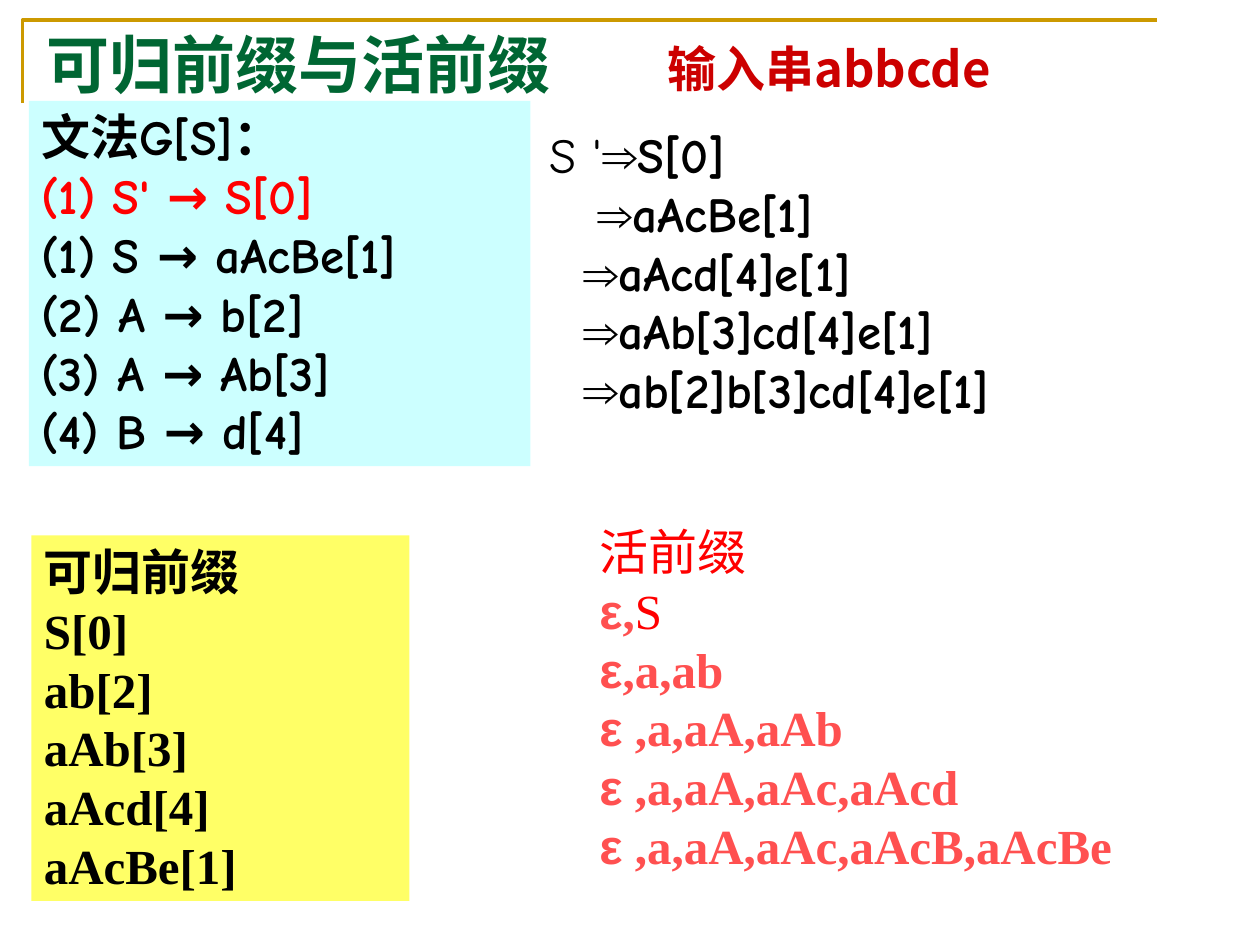
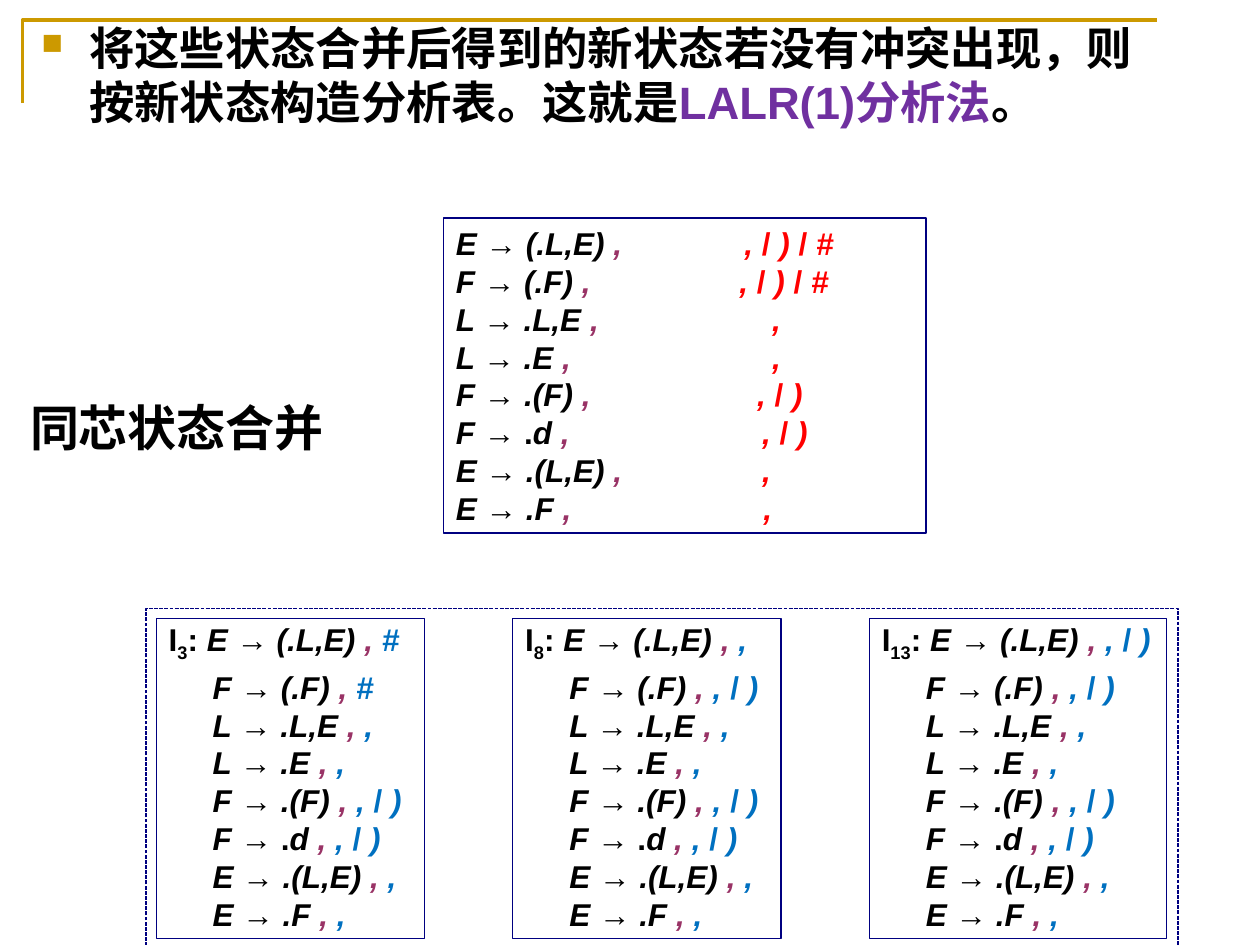
from lxml import etree
from pptx import Presentation
from pptx.dml.color import RGBColor
from pptx.enum.dml import MSO_LINE
from pptx.enum.shapes import MSO_SHAPE as Shape
from pptx.enum.text import MSO_ANCHOR as Anchor
from pptx.oxml.ns import qn
from pptx.util import Inches, Pt

# Shared look
COLORS = dict(gold="CC9900", green="006633", black="000000", red="FF0000",
              crimson="CC0000", coral="FF5050", cyan="CCFFFF", yellow="FFFF66",
              navy="000080", plum="993366", blue="0070C0", purple="7030A0")
WIDTH, HEIGHT = 10, 7.5
SERIF, SANS, COMIC, CJK = "Times New Roman", "Arial", "Comic Neue", "Noto Sans CJK SC"
LINE_RATIO = 1.2
PLAIN = dict(bold=False)

# Slide 1: a row is a text or a list of (text, format) spans
TITLE = "可归前缀与活前缀"
INPUT_STRING = "输入串abbcde"
GRAMMAR = ["文法G[S]：", [("(1) S' → S[0]", dict(color="red"))],
           "(1) S → aAcBe[1]", "(2) A → b[2]", "(3) A → Ab[3]", "(4) B → d[4]"]
DERIVATION = [("S '", 0, "S[0]"), ("", 0.38, "aAcBe[1]"), ("", 0.27, "aAcd[4]e[1]"),
              ("", 0.27, "aAb[3]cd[4]e[1]"), ("", 0.27, "ab[2]b[3]cd[4]e[1]")]
REDUCIBLE = ["可归前缀", "S[0]", "ab[2]", "aAb[3]", "aAcd[4]", "aAcBe[1]"]
VIABLE_HEAD = "活前缀"
VIABLE = [",a,ab", " ,a,aA,aAb", " ,a,aA,aAc,aAcd", " ,a,aA,aAc,aAcB,aAcBe"]

# Slide 2: shared core items, then the lookaheads of each state
BULLET = [("将这些状态合并后得到的新状态若没有冲突出现，则按新状态构造分析表。这就是", {}),
          ("LALR(1)分析法", dict(color="purple")), ("。", {})]
MERGE_LABEL = "同芯状态合并"
CORE = [("E ", "→", " (.L,E) "), ("F ", "→", " (.F) "), ("L ", "→ ", ".L,E "),
        ("L ", "→ ", ".E "), ("F ", "→", " .(F) "), ("F ", "→ .", "d "),
        ("E ", "→ ", ".(L,E) "), ("E ", "→", " .F ")]
TAIL = [",", ",", ", / )", ", / )", ",", ","]
STATES = [("3", 2.13, ["#", "#"] + TAIL),
          ("8", 2.13, [",", ", / )"] + TAIL),
          ("13", 2.36, [", / )", ", / )"] + TAIL)]
MERGED = [", / ) / #", ", / ) / #"] + TAIL
MERGED_TABS = [2.29, 2.25, 2.51, 2.51, 2.39, 2.43, 2.43, 2.44]
STATE_LEFT, STATE_TOP, STATE_STEP, STATE_HEIGHT = 1.24, 4.91, 2.83, 2.54


def rgb(name):
    return RGBColor.from_string(COLORS[name])


def add_span(para, text, size, font=SANS, color="black", bold=True, italic=False, base=None):
    span = para.add_run()
    span.text = text
    style = span.font
    style.size, style.name, style.bold, style.italic = Pt(size), font, bold, italic
    style.color.rgb = rgb(color)
    props = span._r.get_or_add_rPr()
    etree.SubElement(props, qn("a:ea"), typeface=CJK)
    if base:
        props.set("baseline", str(base * 1000))


def write_rows(frame, rows, indents=(), tabs=(), size=28, **fmt):
    """Fill a text frame; a row is a text or a list of (text, format) spans."""
    for index, row in enumerate(rows):
        para = frame.paragraphs[0] if index == 0 else frame.add_paragraph()
        para.line_spacing = Pt(round(size * LINE_RATIO, 1))
        props = para._p.get_or_add_pPr()
        if indents:
            props.set("marL", str(Inches(indents[index])))
            props.set("indent", "0")
        if tabs:
            stops = etree.SubElement(props, qn("a:tabLst"))
            etree.SubElement(stops, qn("a:tab"), pos=str(Inches(tabs[index])), algn="l")
        for text, extra in [(row, {})] if isinstance(row, str) else row:
            add_span(para, text, **{"size": size, **fmt, **extra})


def add_text(page, at, rows, wrap=True, **fmt):
    box = page.shapes.add_textbox(*map(Inches, at))
    box.text_frame.word_wrap = wrap
    write_rows(box.text_frame, rows, **fmt)
    return box


def add_panel(page, at, rows=(), fill=None, line=None, dash=None, **fmt):
    panel = page.shapes.add_shape(Shape.RECTANGLE, *map(Inches, at))
    panel.shadow.inherit = False
    if fill:
        panel.fill.solid()
        panel.fill.fore_color.rgb = rgb(fill)
    else:
        panel.fill.background()
    if line:
        panel.line.color.rgb = rgb(line)
        panel.line.width = Pt(0.75)
        panel.line.dash_style = dash
    else:
        panel.line.fill.background()
    frame = panel.text_frame
    frame.word_wrap, frame.vertical_anchor = True, Anchor.TOP
    write_rows(frame, rows, **fmt)
    for para in frame.paragraphs:
        para._p.get_or_add_pPr().set("algn", "l")
    return panel


def add_page(deck, layout):
    """New slide with the gold corner rule."""
    page = deck.slides.add_slide(deck.slide_layouts[layout])
    pen = page.shapes.build_freeform(Inches(0.18), Inches(0.82))
    pen.add_line_segments([(Inches(0.18), Inches(0.16)), (Inches(9.18), Inches(0.16))],
                          close=False)
    corner = pen.convert_to_shape()
    corner.shadow.inherit = False
    corner.fill.background()
    corner.line.color.rgb = rgb("gold")
    corner.line.width = Pt(2)
    return page


def item_spans(item, lookahead, color, gap=" "):
    """Spans of one LR(1) item; arrows and slashes stay upright."""
    left, arrow, right = item
    slanted = dict(italic=True)
    spans = [(left, slanted), (arrow, {}), (right, slanted),
             ("," + gap, dict(color="plum", italic=True))]
    marks = lookahead.split(" ")
    for index, mark in enumerate(marks):
        text = mark if index == len(marks) - 1 else mark + " "
        spans.append((text, dict(color=color, italic=mark != "/")))
    return spans


def build_prefixes(deck):
    page = add_page(deck, 5)
    title = page.shapes.title
    title.left, title.top, title.width, title.height = map(Inches, (0.27, 0.21, 8.67, 0.64))
    title.text_frame.vertical_anchor = Anchor.BOTTOM
    write_rows(title.text_frame, [TITLE], size=36, font=SERIF, color="green")
    title.text_frame.paragraphs[0]._p.get_or_add_pPr().set("algn", "l")

    add_panel(page, (0.23, 0.8, 3.98, 2.9), GRAMMAR, fill="cyan", font=COMIC)
    steps = [([(start, PLAIN)] if start else []) + [("⇒", dict(font=SANS)), (form, {})]
             for start, _, form in DERIVATION]
    add_text(page, (4.26, 0.94, 5.58, 2.44), steps, font=COMIC,
             indents=[indent for _, indent, _ in DERIVATION])

    add_panel(page, (0.25, 4.25, 3, 2.9), REDUCIBLE, fill="yellow", font=SERIF)
    epsilon = ("ε", dict(font=SANS))
    light_red = dict(color="red", bold=False)
    prefixes = [[(VIABLE_HEAD, light_red)], [epsilon, (",", {}), ("S", light_red)]]
    prefixes += [[epsilon, (rest, {})] for rest in VIABLE]
    add_text(page, (4.56, 4.09, 4.56, 2.9), prefixes, font=SERIF, color="coral",
             indents=[0.1] * len(prefixes))
    add_text(page, (5.2, 0.26, 4, 0.57), [INPUT_STRING], font=CJK, color="crimson")


def build_merging(deck):
    page = add_page(deck, 6)
    # Bulleted statement
    statement = add_text(page, (0.23, 0.11, 9.02, 1), [BULLET], size=25.9)
    props = statement.text_frame.paragraphs[0]._p.get_or_add_pPr()
    props.set("marL", str(Inches(0.38)))
    props.set("indent", str(-Inches(0.38)))
    tint = etree.SubElement(props, qn("a:buClr"))
    etree.SubElement(tint, qn("a:srgbClr"), val=COLORS["gold"])
    etree.SubElement(props, qn("a:buSzPct"), val="65000")
    etree.SubElement(props, qn("a:buChar"), char="■")

    # States with the same core
    for column, (number, width, lookaheads) in enumerate(STATES):
        rows = [item_spans(item, ahead, "blue") for item, ahead in zip(CORE, lookaheads)]
        rows[0] = [("I", {}), (number, dict(base=-25)), (": ", {})] + rows[0]
        at = (STATE_LEFT + column * STATE_STEP, STATE_TOP, width, STATE_HEIGHT)
        state = add_panel(page, at, rows, line="navy", size=18,
                          indents=[0] + [0.35] * (len(rows) - 1))
        state.text_frame.paragraphs[0].space_after = Pt(3)
    add_panel(page, (1.16, 4.83, 8.19, 2.68), line="navy", dash=MSO_LINE.SQUARE_DOT)

    # Merged state
    rows = [item_spans(item, ahead, "red", gap="\t") for item, ahead in zip(CORE, MERGED)]
    add_panel(page, (3.52, 1.73, 3.83, 2.5), rows, line="navy", size=18, tabs=MERGED_TABS)
    add_text(page, (0.14, 3.11, 2.53, 0.57), [MERGE_LABEL], wrap=False)


def main():
    deck = Presentation()
    deck.slide_width, deck.slide_height = Inches(WIDTH), Inches(HEIGHT)
    build_prefixes(deck)
    build_merging(deck)
    deck.save("out.pptx")


if __name__ == "__main__":
    main()
